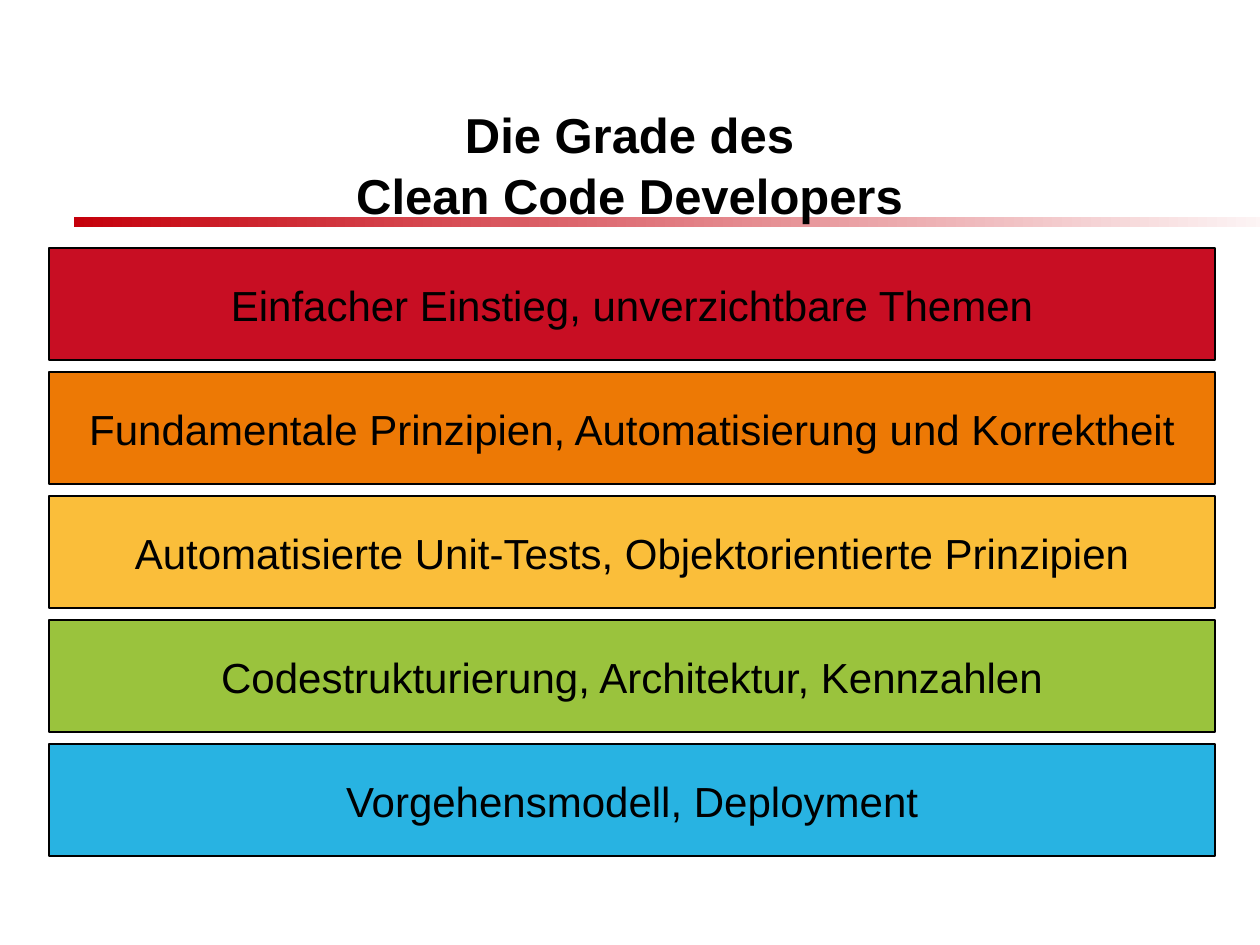
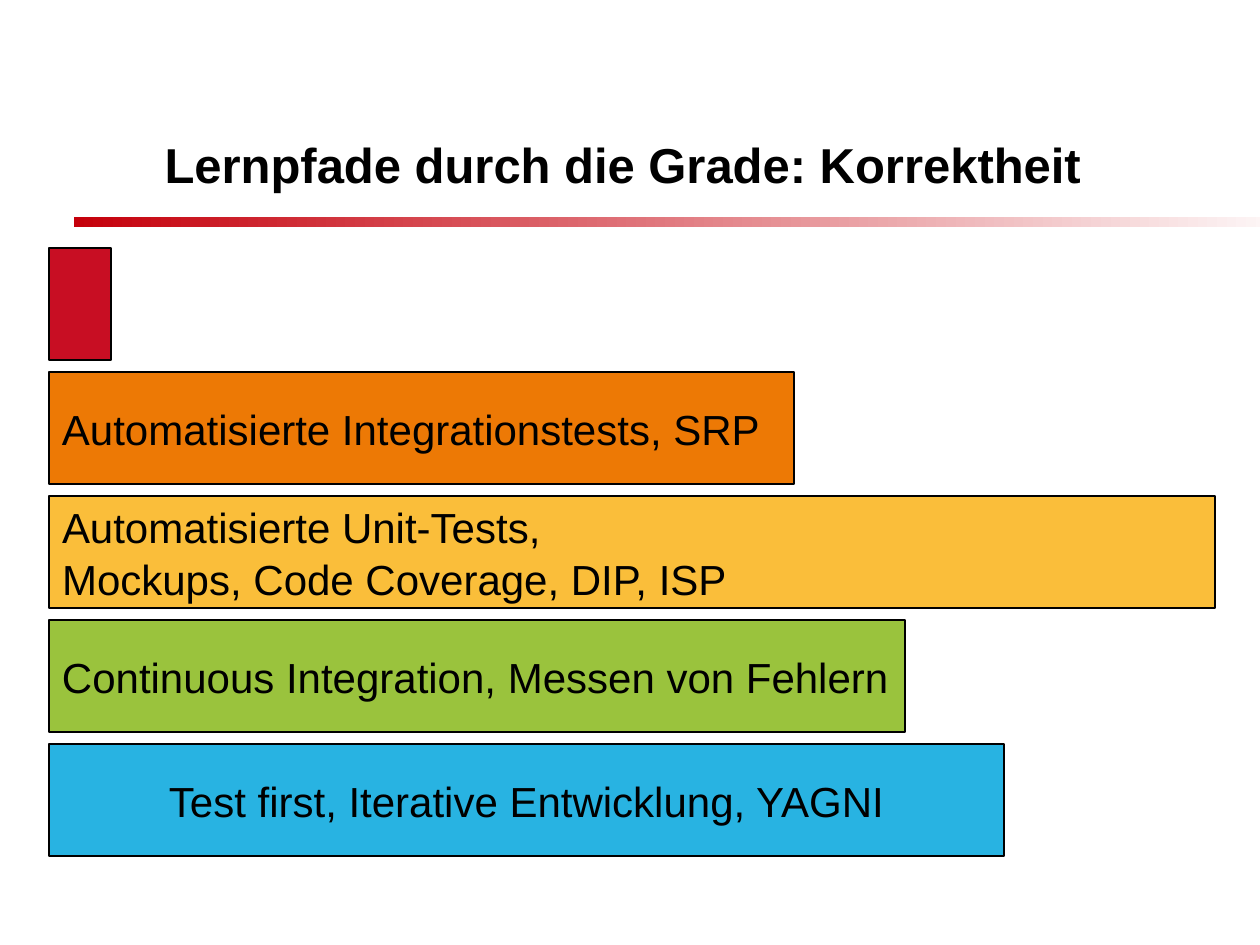
from copy import deepcopy
from dataclasses import dataclass

from pptx import Presentation
from pptx.dml.color import RGBColor as RGB
from pptx.enum.shapes import MSO_SHAPE as SHAPE
from pptx.enum.text import MSO_ANCHOR as ANCHOR, MSO_AUTO_SIZE as AUTO, PP_ALIGN as ALIGN
from pptx.oxml.ns import qn
from pptx.util import Emu, Pt

PX_PER_INCH = 126


@dataclass(frozen=True)
class Theme:
    font: str = "Arial"
    title_size: int = 28
    bar_size: int = 24
    line_spacing: float = 1.04
    ink: str = "000000"
    rule: tuple = ("C5000B", "FFFFFF")
    grades: tuple = ("C80E23", "ED7905", "FABE3A", "9AC33D", "28B3E2")


THEME = Theme()

# Regions in px: left, top, width, height
SLIDE = (1260, 945)
TITLE_BOX = (94, 18, 1071, 290)
RULE_BOX = (74, 217, 1240, 10)
BARS_BOX = (49, 248, 1166, 608)
BAR_GAP = 12

# Each bar: text, width in px, alignment
FULL = BARS_BOX[2]
GRADES = [(text, FULL, ALIGN.CENTER) for text in (
    "Einfacher Einstieg, unverzichtbare Themen",
    "Fundamentale Prinzipien, Automatisierung und Korrektheit",
    "Automatisierte Unit-Tests, Objektorientierte Prinzipien",
    "Codestrukturierung, Architektur, Kennzahlen",
    "Vorgehensmodell, Deployment",
)]
CORRECTNESS_PATH = [
    ("", 62, ALIGN.LEFT),
    ("Automatisierte Integrationstests, SRP", 745, ALIGN.LEFT),
    ("Automatisierte Unit-Tests,\nMockups, Code Coverage, DIP, ISP", FULL, ALIGN.LEFT),
    ("Continuous Integration, Messen von Fehlern", 856, ALIGN.LEFT),
    ("Test first, Iterative Entwicklung, YAGNI", 955, ALIGN.CENTER),
]
SLIDES = [
    ("Die Grade des\nClean Code Developers", GRADES),
    ("Lernpfade durch die Grade: Korrektheit ", CORRECTNESS_PATH),
]


def px(n):
    return Emu(round(n * 914400 / PX_PER_INCH))


def set_attrs(obj, values):
    for name, value in values.items():
        setattr(obj, name, value)


def write(sp, text, size, align, bold=False):
    """Fill a shape with one vertically centred paragraph."""
    tf = sp.text_frame
    set_attrs(tf, {"word_wrap": True, "auto_size": AUTO.NONE,
                   "vertical_anchor": ANCHOR.MIDDLE,
                   "margin_left": px(13), "margin_right": px(13),
                   "margin_top": px(6), "margin_bottom": px(6)})
    p = tf.paragraphs[0]
    p.text = text
    set_attrs(p, {"alignment": align, "line_spacing": THEME.line_spacing})
    for r in p.runs:
        set_attrs(r.font, {"name": THEME.font, "size": Pt(size), "bold": bold})
        r.font.color.rgb = RGB.from_string(THEME.ink)
    # Line breaks take the format of the text around them
    for br in p._p.findall(qn("a:br")):
        br.append(deepcopy(p.runs[0]._r.rPr))


def add_rect(s, box):
    sp = s.shapes.add_shape(SHAPE.RECTANGLE, *map(px, box))
    sp.shadow.inherit = False
    return sp


def add_rule(s, box):
    """Fading rule, moved to the layout so that every slide shows it."""
    sp = add_rect(s, box)
    sp.line.fill.background()
    sp.fill.gradient()
    sp.fill.gradient_angle = 0
    for stop, color in zip(sp.fill.gradient_stops, THEME.rule):
        stop.color.rgb = RGB.from_string(color)
    s.slide_layout.shapes.element.append(sp.element)


def add_title(s, text, box):
    sp = s.shapes.title
    set_attrs(sp, dict(zip(("left", "top", "width", "height"), map(px, box))))
    write(sp, text, THEME.title_size, ALIGN.CENTER, bold=True)


def add_bars(s, bars, box):
    """Stack of bars, one for each grade."""
    left, top, _, height = box
    pitch = (height + BAR_GAP) / len(bars)
    for i, ((text, width, align), color) in enumerate(zip(bars, THEME.grades)):
        sp = add_rect(s, (left, top + i * pitch, width, pitch - BAR_GAP))
        sp.fill.solid()
        sp.fill.fore_color.rgb = RGB.from_string(color)
        sp.line.color.rgb = RGB.from_string(THEME.ink)
        sp.line.width = Pt(0)
        if text:
            write(sp, text, THEME.bar_size, align)


def main():
    prs = Presentation()
    prs.slide_width, prs.slide_height = map(px, SLIDE)
    layout = prs.slide_layouts.get_by_name("Title Only")
    for i, (title, bars) in enumerate(SLIDES):
        s = prs.slides.add_slide(layout)
        if i == 0:
            add_rule(s, RULE_BOX)
        add_title(s, title, TITLE_BOX)
        add_bars(s, bars, BARS_BOX)
    prs.save("out.pptx")


if __name__ == "__main__":
    main()
